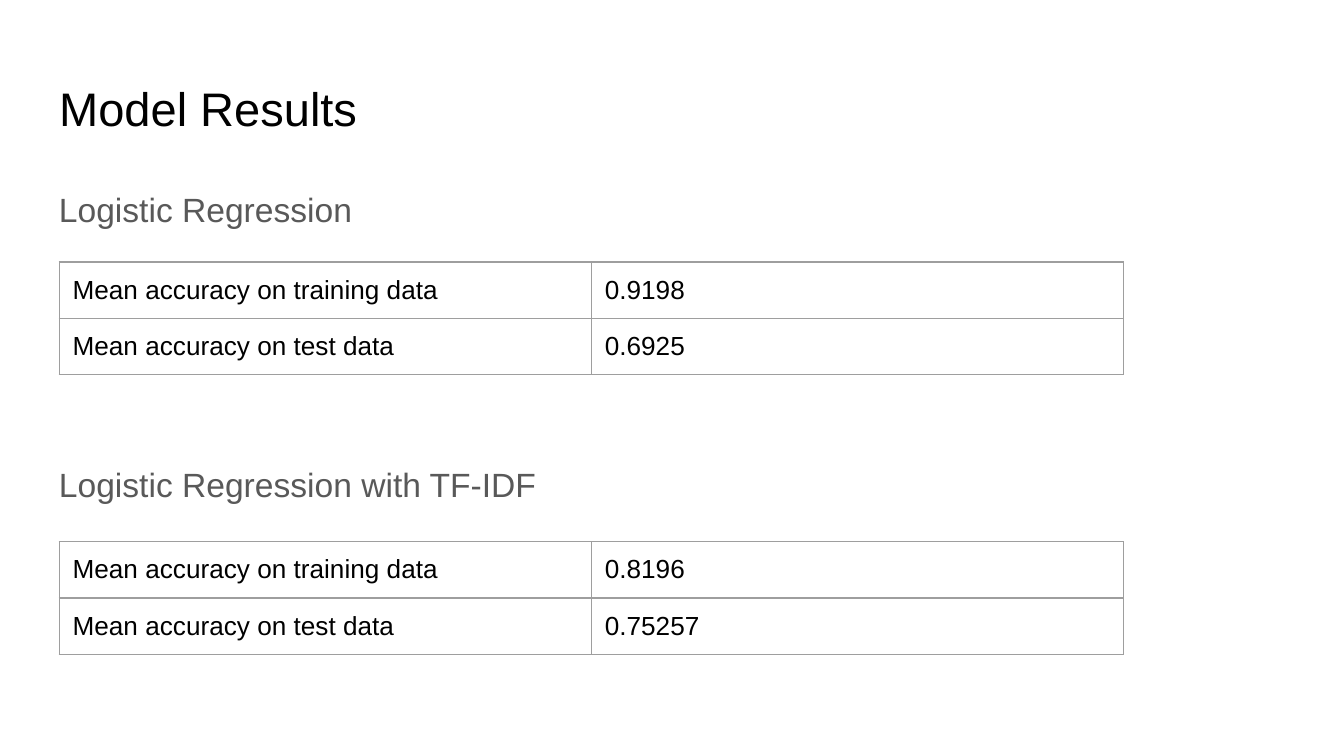
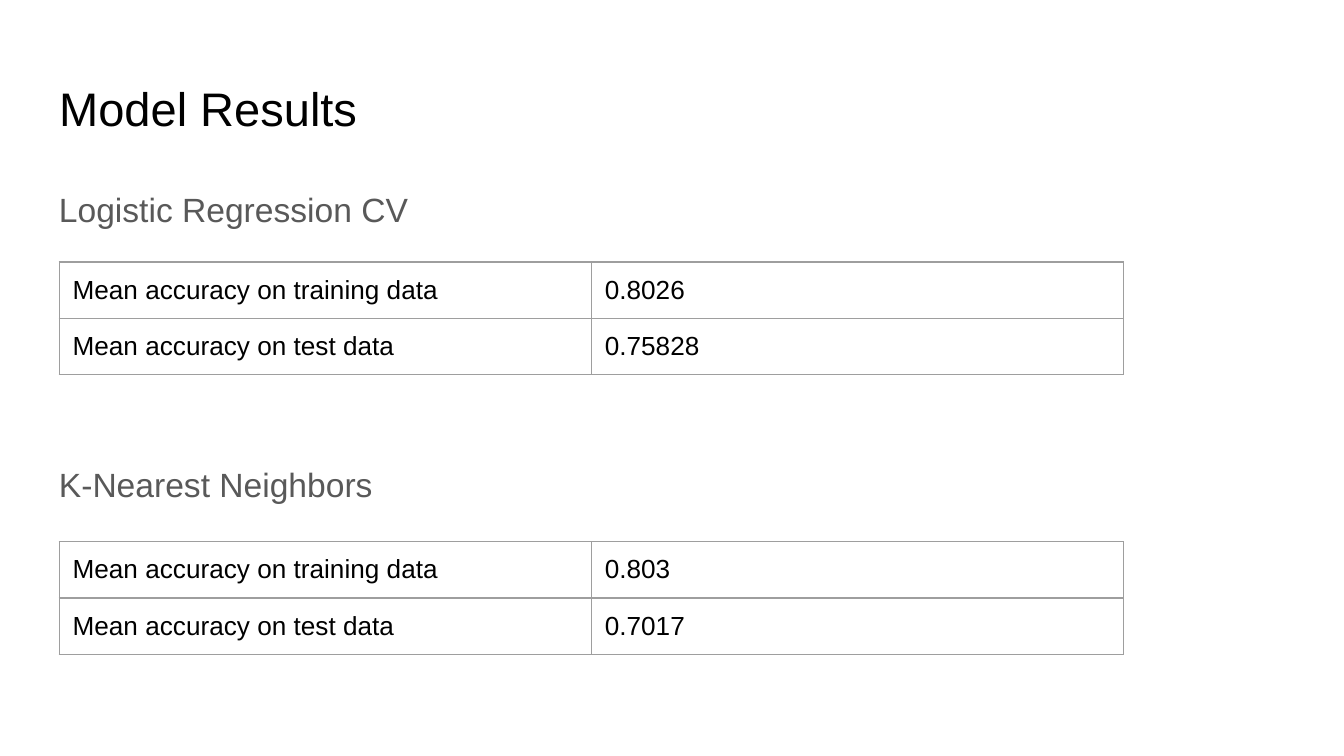
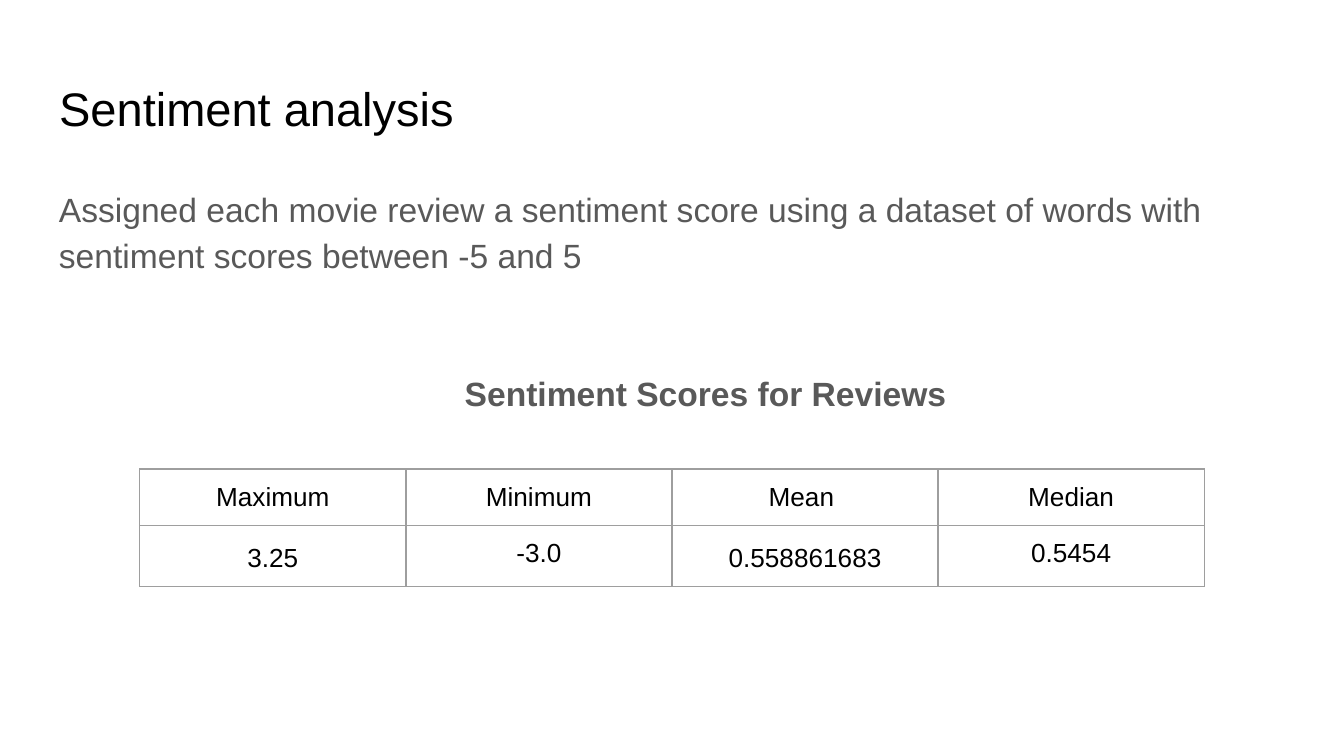
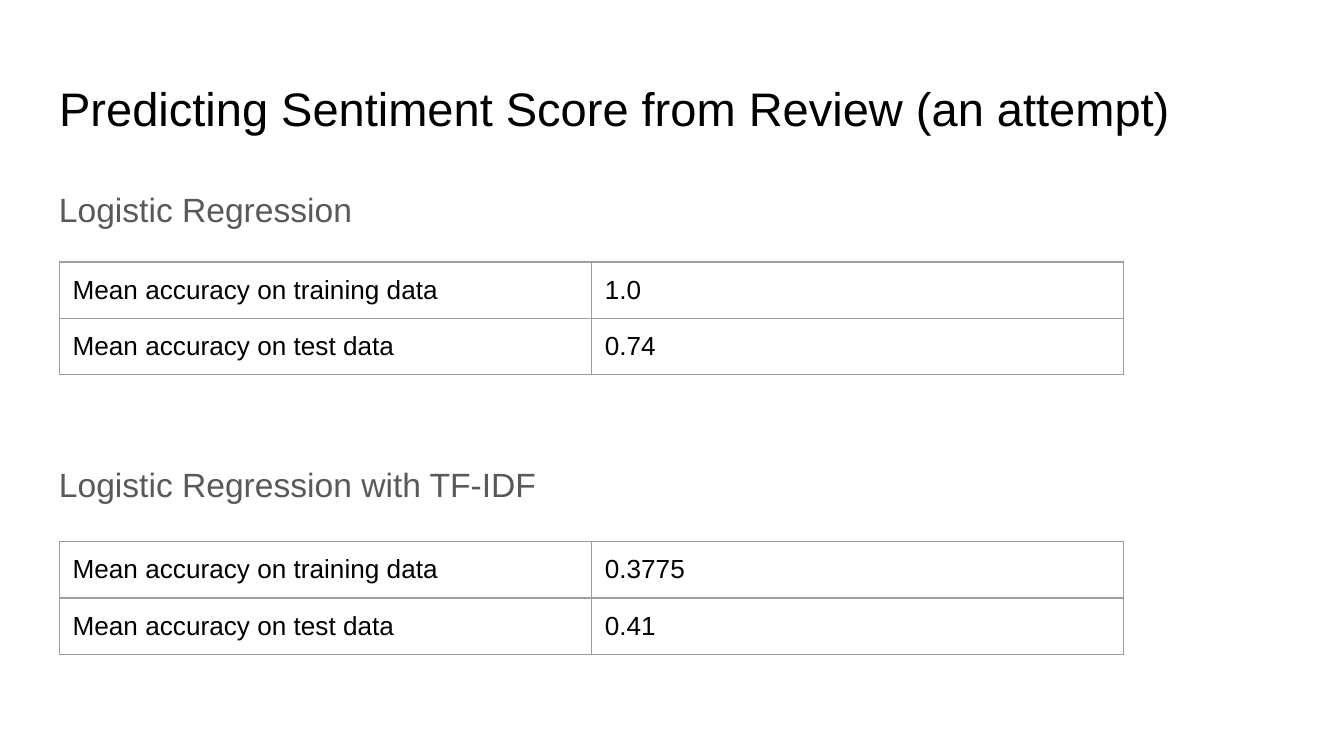
from lxml import etree
from pptx import Presentation
from pptx.dml.color import RGBColor
from pptx.enum.text import MSO_ANCHOR as Anchor, MSO_AUTO_SIZE as AutoSize, PP_ALIGN as Align
from pptx.oxml.ns import qn
from pptx.util import Inches, Pt

# Shared style
FONT = "Arial"
BLACK, GREY, RULE = "000000", "595959", "9E9E9E"
TITLE_ONLY = 5
SLIDE_WIDTH = 10
SLIDE_HEIGHT = SLIDE_WIDTH * 9 / 16
LEFT, WIDTH = 0.34, 9.32
INSET = 0.1
LINE_SPACING = 1.15
ROW_HEIGHT, TABLE_WIDTH = 0.42, 7.92
TABLE_LEFT = LEFT + INSET
TABLE_TOPS = (1.95, 4.03)

# Content
RESULT_SLIDES = [
    ("Model Results", [
        ("Logistic Regression", "0.9198", "0.6925"),
        ("Logistic Regression with TF-IDF", "0.8196", "0.75257"),
    ]),
    ("Model Results", [
        ("Logistic Regression CV", "0.8026", "0.75828"),
        ("K-Nearest Neighbors", "0.803", "0.7017"),
    ]),
    ("Predicting Sentiment Score from Review (an attempt)", [
        ("Logistic Regression", "1.0", "0.74"),
        ("Logistic Regression with TF-IDF", "0.3775", "0.41"),
    ]),
]


def color(hex_code):
    return RGBColor.from_string(hex_code)


def style(para, size, hex_code):
    font = para.font
    font.name, font.size = FONT, Pt(size)
    font.color.rgb = color(hex_code)


def set_frame(frame):
    frame.word_wrap = True
    frame.auto_size = AutoSize.NONE
    frame.vertical_anchor = Anchor.TOP
    frame.margin_left = frame.margin_right = Inches(INSET)
    frame.margin_top = frame.margin_bottom = Inches(INSET)


def add_titled_slide(deck, text):
    slide = deck.slides.add_slide(deck.slide_layouts[TITLE_ONLY])
    title = slide.shapes.title
    title.left, title.top = Inches(LEFT), Inches(0.49)
    title.width, title.height = Inches(WIDTH), Inches(0.63)
    title.text = text
    set_frame(title.text_frame)
    para = title.text_frame.paragraphs[0]
    para.alignment = Align.LEFT
    style(para, 25.2, BLACK)
    return slide


def add_body(slide, texts, gap):
    """Add the grey text, with a gap in points between its paragraphs."""
    box = slide.shapes.add_textbox(Inches(LEFT), Inches(1.26), Inches(WIDTH), Inches(3.74))
    frame = box.text_frame
    set_frame(frame)
    for index, text in enumerate(texts):
        para = frame.add_paragraph() if index else frame.paragraphs[0]
        para.text = text
        para.line_spacing = LINE_SPACING
        para.space_before = Pt(gap if index else 0)
        style(para, 18, GREY)
    return frame


def set_borders(cell):
    properties = cell._tc.get_or_add_tcPr()
    for index, side in enumerate(("a:lnL", "a:lnR", "a:lnT", "a:lnB")):
        line = etree.Element(qn(side), w=str(Pt(0.75)))
        fill = etree.SubElement(line, qn("a:solidFill"))
        etree.SubElement(fill, qn("a:srgbClr"), val=RULE)
        properties.insert(index, line)


def add_grid(slide, left, top, rows, align=Align.LEFT):
    """Add a plain ruled table with equal columns."""
    columns = len(rows[0])
    table = slide.shapes.add_table(
        len(rows), columns, Inches(left), Inches(top),
        Inches(TABLE_WIDTH), Inches(ROW_HEIGHT * len(rows))).table
    table.first_row = table.horz_banding = False
    for column in table.columns:
        column.width = Inches(TABLE_WIDTH / columns)
    for row, texts in zip(table.rows, rows):
        row.height = Inches(ROW_HEIGHT)
        for cell, text in zip(row.cells, texts):
            cell.text = text
            cell.margin_left = cell.margin_right = Inches(INSET)
            cell.margin_top = cell.margin_bottom = Inches(INSET)
            cell.fill.background()
            set_borders(cell)
            para = cell.text_frame.paragraphs[0]
            para.alignment = align
            style(para, 14, BLACK)
    return table


def add_results_slide(deck, title, models):
    slide = add_titled_slide(deck, title)
    add_body(slide, [name for name, _, _ in models], gap=122.5)
    for top, (_, training, test) in zip(TABLE_TOPS, models):
        add_grid(slide, TABLE_LEFT, top, [
            ("Mean accuracy on training data", training),
            ("Mean accuracy on test data", test),
        ])


def add_sentiment_slide(deck):
    slide = add_titled_slide(deck, "Sentiment analysis")
    frame = add_body(slide, [
        "Assigned each movie review a sentiment score using a dataset of words "
        "with sentiment scores between -5 and 5",
        "Sentiment Scores for Reviews",
    ], gap=49)

    # Indented, centred caption of the table
    caption = frame.paragraphs[1]
    caption.alignment = Align.CENTER
    caption.font.bold = True
    caption._p.get_or_add_pPr().set("marL", str(Inches(0.5)))

    table = add_grid(slide, 1.04, 3.49, [
        ("Maximum", "Minimum", "Mean ", "Median"),
        ("3.25", "-3.0", "0.558861683", "0.5454"),
    ], Align.CENTER)
    # The maximum and the mean have looser lines
    for column in (0, 2):
        table.cell(1, column).text_frame.paragraphs[0].line_spacing = LINE_SPACING


def main():
    deck = Presentation()
    deck.slide_width, deck.slide_height = Inches(SLIDE_WIDTH), Inches(SLIDE_HEIGHT)
    for title, models in RESULT_SLIDES[:2]:
        add_results_slide(deck, title, models)
    add_sentiment_slide(deck)
    add_results_slide(deck, *RESULT_SLIDES[2])
    deck.save("out.pptx")


main()
